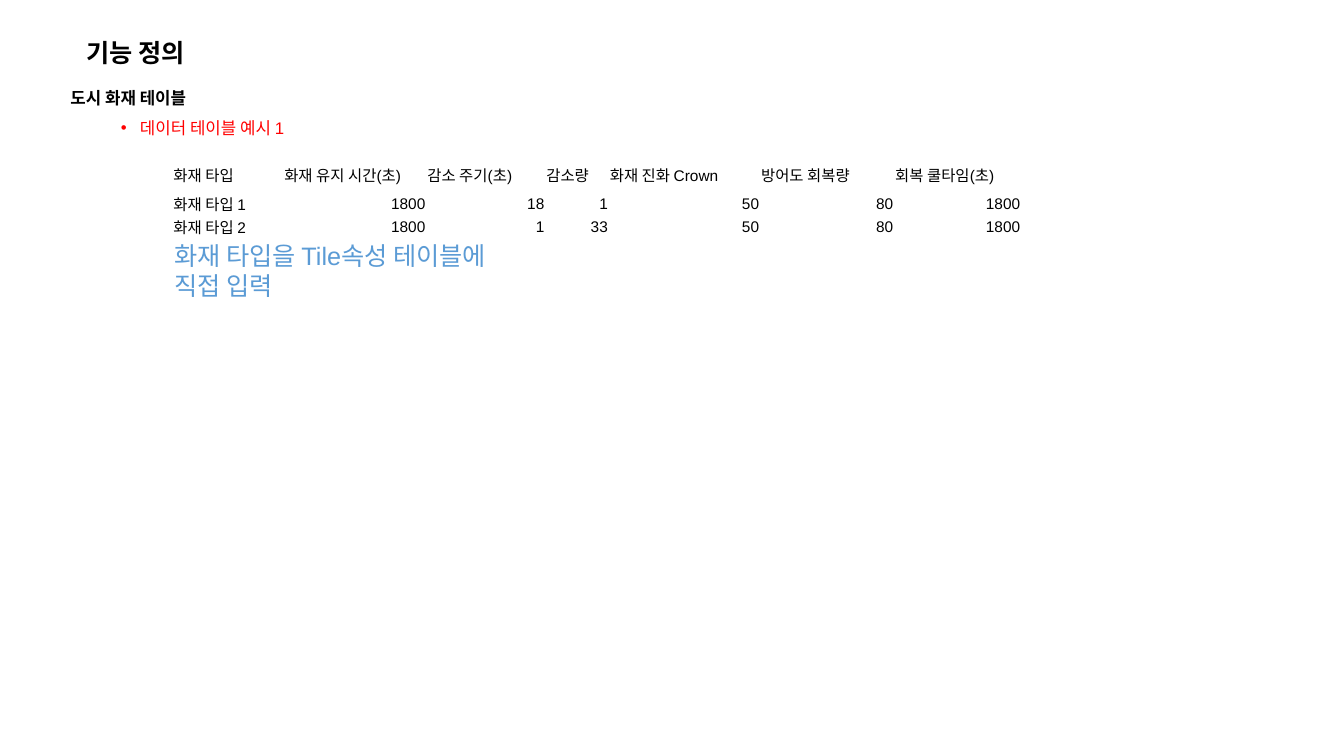
from typing import NamedTuple

from lxml.etree import SubElement
from pptx import Presentation
from pptx.dml.color import RGBColor
from pptx.enum.text import MSO_ANCHOR, MSO_AUTO_SIZE, PP_ALIGN
from pptx.oxml.ns import qn
from pptx.util import Inches, Pt

WIDE, HIGH = Inches(13.33), Inches(7.5)
FONT = "Arial"
COLORS = {"ink": "000000", "alert": "FF0000", "note": "5B9BD5"}


class Box(NamedTuple):
    """Left, top, width and height in percent of the slide."""
    left: float
    top: float
    width: float
    height: float


class Look(NamedTuple):
    size: int
    color: str = "ink"
    bold: bool = False


class Column(NamedTuple):
    """Width in percent of the slide, then the cell texts from the top."""
    width: float
    cells: tuple[str, ...]


TITLE = Box(5.7, 4.27, 9.75, 5.33)
BODY = Box(4.5, 9.6, 91.67, 88.53)
TABLE = Box(12.83, 20.67, 63.16, 10.81)
NOTE = Box(12.23, 31.07, 27.98, 4.53)
ROWS = (4.67, 3.07, 3.07)
COLUMNS = (
    Column(8.25, ("화재 타입", "화재 타입 1", "화재 타입 2")),
    Column(10.65, ("화재 유지 시간(초)", "1800", "1800")),
    Column(8.85, ("감소 주기(초)", "18", "1")),
    Column(4.73, ("감소량", "1", "33")),
    Column(11.25, ("화재 진화 Crown", "50", "50")),
    Column(9.98, ("방어도 회복량", "80", "80")),
    Column(9.45, ("회복 쿨타임(초)", "1800", "1800")),
)


def across(share: float) -> int:
    return round(WIDE * share / 100)


def down(share: float) -> int:
    return round(HIGH * share / 100)


def frame(box: Box) -> tuple[int, int, int, int]:
    return across(box.left), down(box.top), across(box.width), down(box.height)


def style(para, look: Look) -> None:
    for run in para.runs:
        run.font.name = FONT
        run.font.size = Pt(look.size)
        run.font.bold = look.bold
        run.font.color.rgb = RGBColor.from_string(COLORS[look.color])


def bullet(para, color: str) -> None:
    props = para._p.get_or_add_pPr()
    props.set("marL", str(Inches(0.69)))
    props.set("indent", str(Inches(-0.19)))
    tint = SubElement(props, qn("a:buClr"))
    SubElement(tint, qn("a:srgbClr"), val=COLORS[color])
    SubElement(props, qn("a:buFont"), typeface=FONT)
    SubElement(props, qn("a:buChar"), char="•")


def add_title(slide, text: str) -> None:
    title = slide.shapes.title
    title.left, title.top, title.width, title.height = frame(TITLE)
    area = title.text_frame
    area.text = text
    area.word_wrap = False
    area.auto_size = MSO_AUTO_SIZE.NONE
    area.vertical_anchor = MSO_ANCHOR.TOP
    area.paragraphs[0].alignment = PP_ALIGN.LEFT
    style(area.paragraphs[0], Look(18, bold=True))


def add_text(slide, box: Box, text: str):
    area = slide.shapes.add_textbox(*frame(box)).text_frame
    area.word_wrap = True
    area.text = text
    return area


def add_body(slide) -> None:
    area = add_text(slide, BODY, "도시 화재 테이블\n데이터 테이블 예시 1")
    head, item = area.paragraphs
    head.line_spacing = item.line_spacing = 1.5
    item.level = 1
    bullet(item, "alert")
    style(head, Look(12, bold=True))
    style(item, Look(12, "alert"))


def add_table(slide) -> None:
    table = slide.shapes.add_table(len(ROWS), len(COLUMNS), *frame(TABLE)).table
    table.first_row = table.horz_banding = False
    for row, share in zip(table.rows, ROWS):
        row.height = down(share)
    for col, column in enumerate(COLUMNS):
        table.columns[col].width = across(column.width)
        for row, text in enumerate(column.cells):
            cell = table.cell(row, col)
            cell.fill.background()
            cell.vertical_anchor = MSO_ANCHOR.MIDDLE
            cell.margin_left = cell.margin_right = cell.margin_top = Inches(0.01)
            cell.margin_bottom = 0
            cell.text_frame.text = text
            para = cell.text_frame.paragraphs[0]
            para.alignment = PP_ALIGN.RIGHT if row and col else PP_ALIGN.LEFT
            style(para, Look(11))


def main() -> None:
    deck = Presentation()
    deck.slide_width, deck.slide_height = WIDE, HIGH
    slide = deck.slides.add_slide(deck.slide_layouts.get_by_name("Title Only"))
    add_title(slide, "기능 정의")
    add_body(slide)
    add_table(slide)
    note = add_text(slide, NOTE, "화재 타입을 Tile속성 테이블에 직접 입력")
    style(note.paragraphs[0], Look(18, "note"))
    deck.save("out.pptx")


if __name__ == "__main__":
    main()
